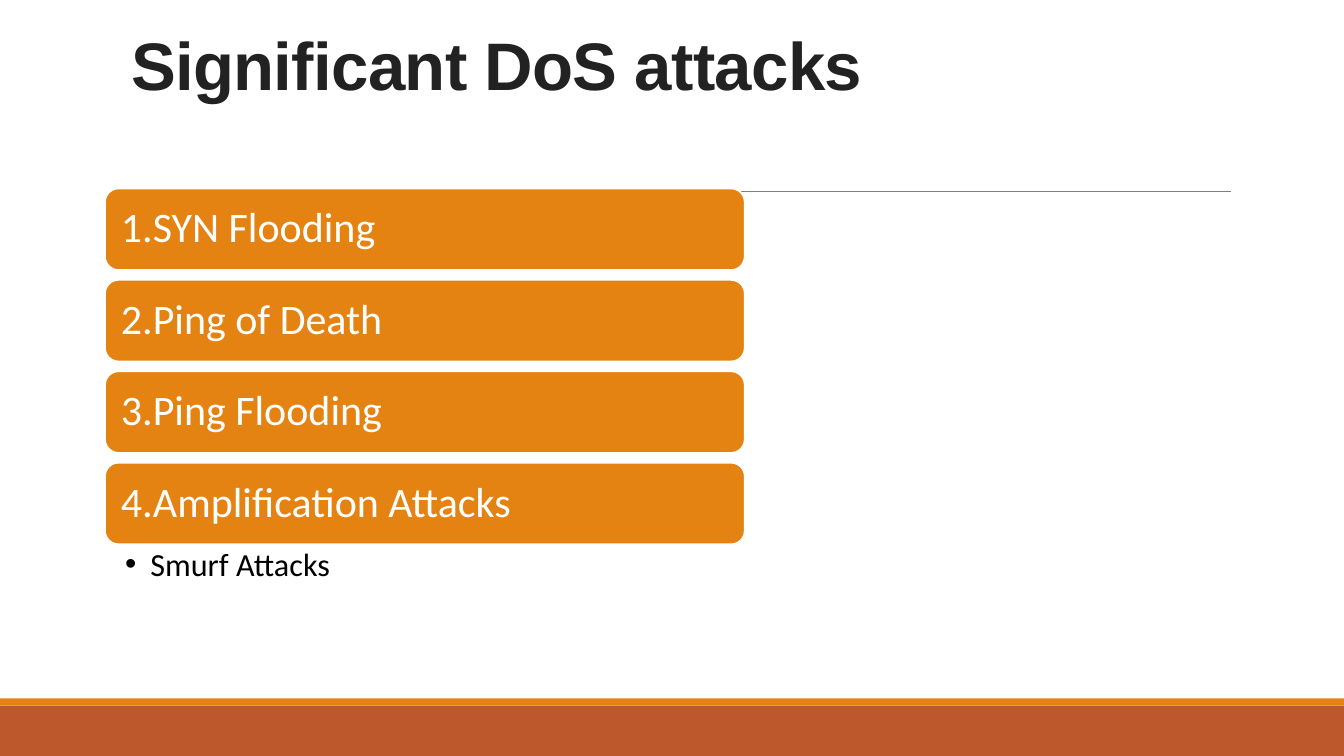
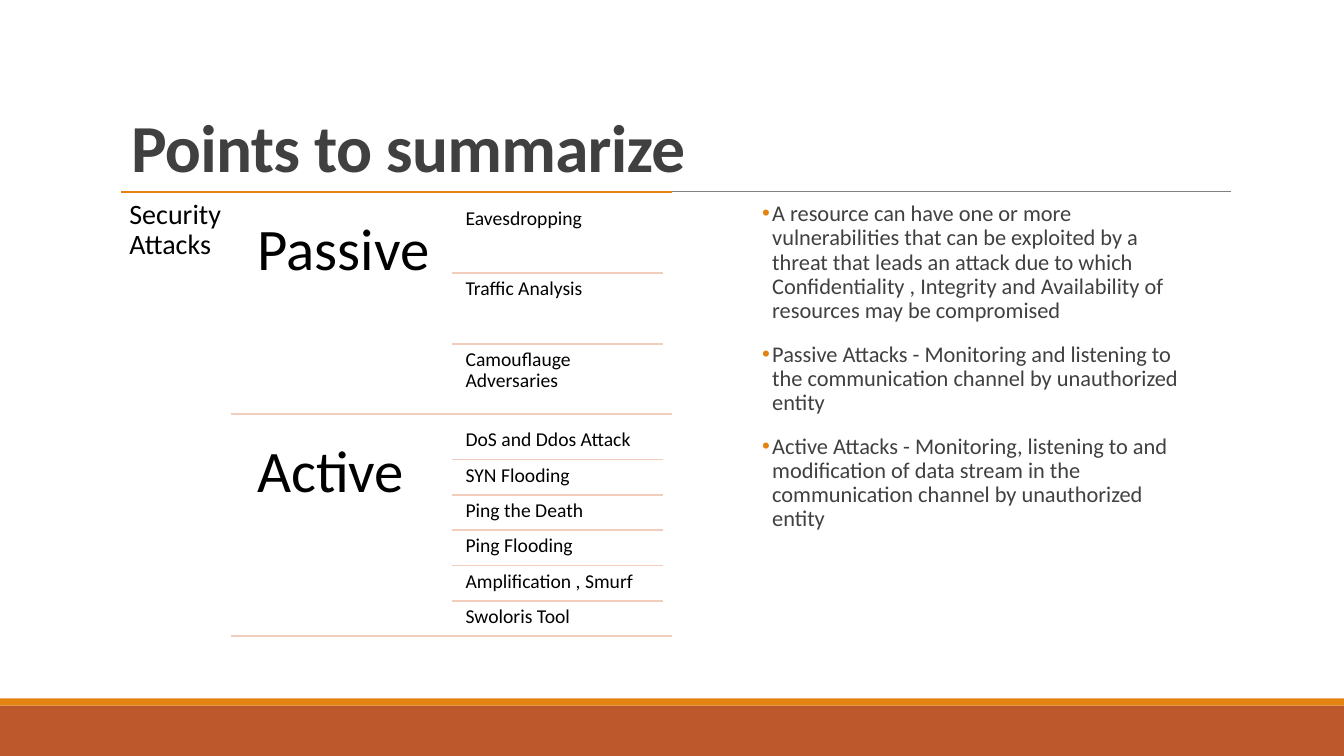
from dataclasses import dataclass

from lxml import etree
from pptx import Presentation
from pptx.dml.color import RGBColor
from pptx.enum.shapes import MSO_CONNECTOR, MSO_SHAPE
from pptx.enum.text import MSO_ANCHOR, MSO_AUTO_SIZE, PP_ALIGN
from pptx.oxml.ns import qn
from pptx.shapes.autoshape import Shape
from pptx.slide import Slide
from pptx.text.text import TextFrame, _Paragraph
from pptx.util import Pt

RECT, ROUNDED = MSO_SHAPE.RECTANGLE, MSO_SHAPE.ROUNDED_RECTANGLE
STRAIGHT = MSO_CONNECTOR.STRAIGHT
TOP, MIDDLE, BOTTOM = MSO_ANCHOR.TOP, MSO_ANCHOR.MIDDLE, MSO_ANCHOR.BOTTOM
LEFT = PP_ALIGN.LEFT
NO_AUTOFIT = MSO_AUTO_SIZE.NONE
TITLE_ONLY = 5

COLORS = {
    "orange": "E48312",
    "rust": "BD582C",
    "peach": "F2CDBD",
    "gray": "808080",
    "charcoal": "404040",
    "ink": "222222",
    "black": "000000",
    "white": "FFFFFF",
}


@dataclass(frozen=True)
class Box:
    left: float
    top: float
    width: float
    height: float

    def lengths(self) -> tuple[Pt, Pt, Pt, Pt]:
        return Pt(self.left), Pt(self.top), Pt(self.width), Pt(self.height)


@dataclass(frozen=True)
class TextStyle:
    size: float
    color: str
    font: str = "Calibri"
    bold: bool = False
    line_spacing: float = 0.9
    tracking: float = 0


@dataclass(frozen=True)
class Bullet:
    indent: float
    color: str


@dataclass(frozen=True)
class AttackGroup:
    name: str
    details: tuple[str, ...]


SLIDE_WIDTH, SLIDE_HEIGHT = 960, 540
FOOTER = Box(0, 504, SLIDE_WIDTH, 36)
FOOTER_ACCENT = Box(0, 498.8, SLIDE_WIDTH, 5.2)
TITLE = Box(86.4, 22.3, 792, 114.3)
RULE_LEFT, RULE_RIGHT, RULE_Y = 94.3, 879.1, 136.6

FIRST_CARD = Box(75, 134.6, 457, 58.3)
CARD_PITCH = 65.3
DOS_ATTACKS = ("SYN Flooding", "Ping of Death", "Ping Flooding", "Amplification Attacks")

TREE_LEFT, TREE_RIGHT = 86.4, 480.2
GROUP_LEFT, GROUP_TOP, GROUP_HEIGHT, GROUP_PITCH = 164.9, 144.6, 151.3, 158.4
COLUMN_WIDTH = 151.2
NAME_LEFT, DETAIL_LEFT, DETAIL_LINE_LEFT = 171.2, 328.4, 322.6
ATTACK_GROUPS = (
    AttackGroup("Passive", ("Eavesdropping", "Traffic Analysis", "Camouflauge Adversaries")),
    AttackGroup("Active", ("DoS and Ddos Attack", "SYN Flooding", "Ping the Death",
                           "Ping Flooding", "Amplification , Smurf", "Swoloris Tool")),
)
SUMMARY = (
    "A resource can have one or more vulnerabilities that can be exploited by a threat "
    "that leads an attack due to which Confidentiality , Integrity and Availability of "
    "resources may be compromised",
    "Passive Attacks - Monitoring and listening to the communication channel by "
    "unauthorized entity",
    "Active Attacks - Monitoring, listening to and modification of data stream in the "
    "communication channel by unauthorized entity",
)


def rgb(color: str) -> RGBColor:
    return RGBColor.from_string(COLORS[color])


def prepare_frame(frame: TextFrame, anchor: MSO_ANCHOR,
                  insets: tuple[float, float, float, float]) -> None:
    """Set wrapping, anchor and the left, top, right and bottom insets."""
    frame.word_wrap = True
    frame.auto_size = NO_AUTOFIT
    frame.vertical_anchor = anchor
    (frame.margin_left, frame.margin_top,
     frame.margin_right, frame.margin_bottom) = map(Pt, insets)


def write_paragraph(paragraph: _Paragraph, text: str, style: TextStyle) -> None:
    paragraph.alignment = LEFT
    paragraph.line_spacing = style.line_spacing
    run = paragraph.add_run()
    run.text = text
    run.font.name = style.font
    run.font.size = Pt(style.size)
    run.font.bold = style.bold
    run.font.color.rgb = rgb(style.color)
    if style.tracking:
        run._r.get_or_add_rPr().set("spc", str(round(style.tracking * 100)))


def add_bullet(paragraph: _Paragraph, bullet: Bullet) -> None:
    properties = paragraph._p.get_or_add_pPr()
    properties.set("marL", str(Pt(bullet.indent)))
    properties.set("indent", str(-Pt(bullet.indent)))
    bullet_color = etree.SubElement(properties, qn("a:buClr"))
    etree.SubElement(bullet_color, qn("a:srgbClr")).set("val", COLORS[bullet.color])
    etree.SubElement(properties, qn("a:buFont")).set("typeface", "Arial")
    etree.SubElement(properties, qn("a:buChar")).set("char", "•")


def add_text(slide: Slide, box: Box, text: str, style: TextStyle, inset: float) -> None:
    frame = slide.shapes.add_textbox(*box.lengths()).text_frame
    prepare_frame(frame, TOP, (inset,) * 4)
    write_paragraph(frame.paragraphs[0], text, style)


def add_bullets(slide: Slide, box: Box, items: tuple[str, ...], style: TextStyle,
                bullet: Bullet, insets: tuple[float, float, float, float],
                before: float = 0, after: float = 0) -> None:
    frame = slide.shapes.add_textbox(*box.lengths()).text_frame
    prepare_frame(frame, TOP, insets)
    for index, item in enumerate(items):
        paragraph = frame.add_paragraph() if index else frame.paragraphs[0]
        write_paragraph(paragraph, item, style)
        paragraph.space_before, paragraph.space_after = Pt(before), Pt(after)
        add_bullet(paragraph, bullet)


def add_panel(slide: Slide, kind: MSO_SHAPE, box: Box, fill: str) -> Shape:
    panel = slide.shapes.add_shape(kind, *box.lengths())
    panel.shadow.inherit = False
    panel.fill.solid()
    panel.fill.fore_color.rgb = rgb(fill)
    panel.line.fill.background()
    return panel


def add_divider(slide: Slide, left: float, right: float, y: float,
                color: str = "peach", width: float = 1.25) -> None:
    divider = slide.shapes.add_connector(STRAIGHT, Pt(left), Pt(y), Pt(right), Pt(y))
    divider.line.color.rgb = rgb(color)
    divider.line.width = Pt(width)
    etree.SubElement(divider._element.spPr, qn("a:effectLst"))


def add_base_slide(deck: Presentation, heading: str, style: TextStyle,
                   bottom_inset: float = 3.6) -> Slide:
    """Add a slide with the shared footer bands, title and rule."""
    slide = deck.slides.add_slide(deck.slide_layouts[TITLE_ONLY])
    add_panel(slide, RECT, FOOTER, "rust")
    add_panel(slide, RECT, FOOTER_ACCENT, "orange")
    add_divider(slide, RULE_LEFT, RULE_RIGHT, RULE_Y, "gray", 0.5)
    title = slide.shapes.title
    title.left, title.top, title.width, title.height = TITLE.lengths()
    prepare_frame(title.text_frame, BOTTOM, (7.2, 3.6, 7.2, bottom_inset))
    write_paragraph(title.text_frame.paragraphs[0], heading, style)
    return slide


def build_dos_slide(deck: Presentation) -> None:
    heading_style = TextStyle(48, "ink", "Arial", True, 0.85, -0.5)
    slide = add_base_slide(deck, "Significant DoS attacks", heading_style, bottom_inset=62)
    card_style = TextStyle(30, "white")
    first = FIRST_CARD
    for index, attack in enumerate(DOS_ATTACKS):
        box = Box(first.left, first.top + index * CARD_PITCH, first.width, first.height)
        card = add_panel(slide, ROUNDED, box, "orange")
        card.line.color.rgb = rgb("white")
        card.line.width = Pt(1.25)
        prepare_frame(card.text_frame, MIDDLE, (8.6, 8.6, 8.6, 8.6))
        write_paragraph(card.text_frame.paragraphs[0], f"{index + 1}.{attack}", card_style)
    examples = Box(first.left, first.top + 3 * CARD_PITCH + first.height, first.width, 39)
    add_bullets(slide, examples, ("Smurf Attacks",), TextStyle(23, "black"),
                Bullet(18, "black"), (14.4, 2.9, 16.6, 2.9))


def add_attack_group(slide: Slide, group: AttackGroup, top: float) -> None:
    """Draw a group name, its ruled details and the closing divider."""
    add_text(slide, Box(NAME_LEFT, top, COLUMN_WIDTH, GROUP_HEIGHT),
             group.name, TextStyle(42, "black"), 12.6)
    row_height = GROUP_HEIGHT / len(group.details)
    for row, detail in enumerate(group.details):
        row_top = top + row * row_height
        if row:
            add_divider(slide, DETAIL_LINE_LEFT, DETAIL_LINE_LEFT + COLUMN_WIDTH, row_top)
        add_text(slide, Box(DETAIL_LEFT, row_top, COLUMN_WIDTH, row_height),
                 detail, TextStyle(14, "black"), 4.2)
    add_divider(slide, GROUP_LEFT, TREE_RIGHT, top + GROUP_HEIGHT)


def build_summary_slide(deck: Presentation) -> None:
    heading_style = TextStyle(48, "charcoal", "Calibri", True, 0.85, -0.5)
    slide = add_base_slide(deck, "Points to summarize", heading_style)
    add_bullets(slide, Box(544.4, 141.1, 301.7, 316.8), SUMMARY,
                TextStyle(16, "charcoal"), Bullet(7.2, "orange"),
                (0, 3.6, 0, 3.6), before=12, after=2)
    add_divider(slide, TREE_LEFT, TREE_RIGHT, 137, "orange")
    add_text(slide, Box(TREE_LEFT, 137, GROUP_LEFT - TREE_LEFT, 325.4),
             "Security Attacks", TextStyle(20, "black"), 6)
    for index, group in enumerate(ATTACK_GROUPS):
        add_attack_group(slide, group, GROUP_TOP + index * GROUP_PITCH)


def main() -> None:
    deck = Presentation()
    deck.slide_width, deck.slide_height = Pt(SLIDE_WIDTH), Pt(SLIDE_HEIGHT)
    build_dos_slide(deck)
    build_summary_slide(deck)
    deck.save("out.pptx")


if __name__ == "__main__":
    main()
